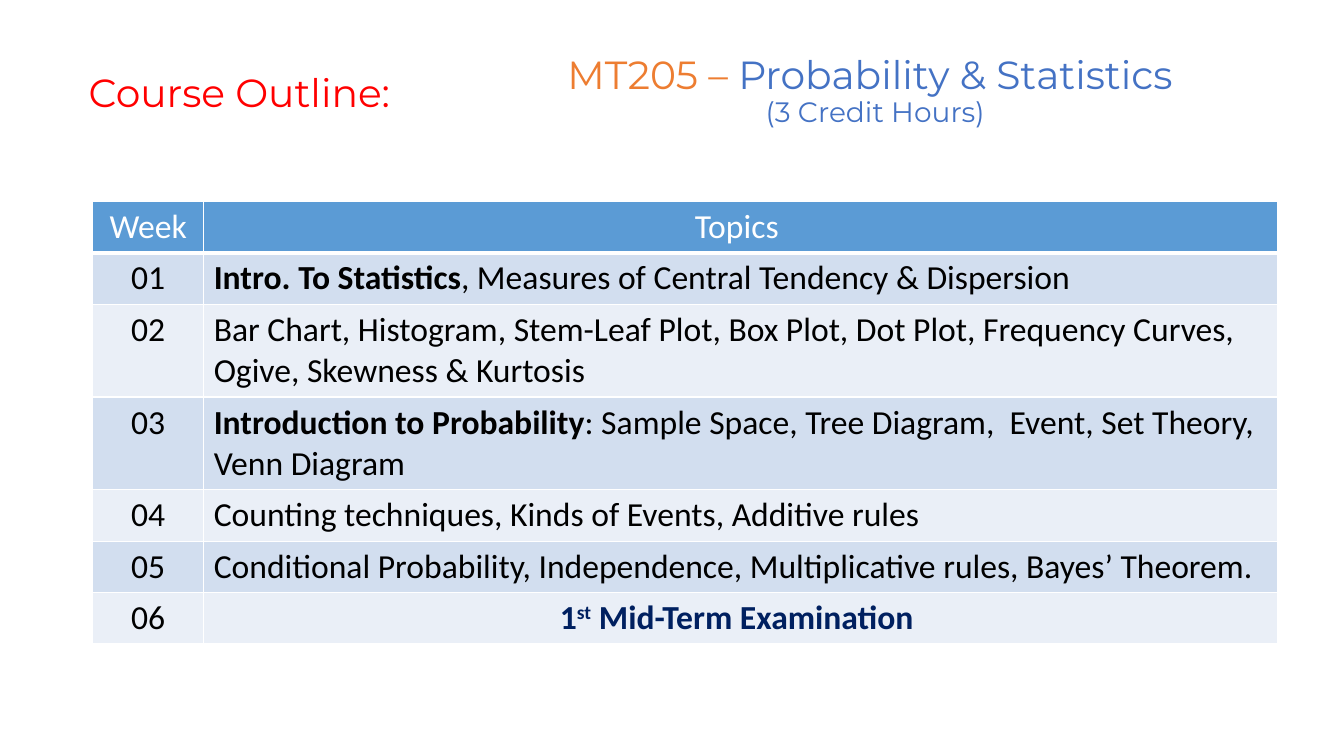
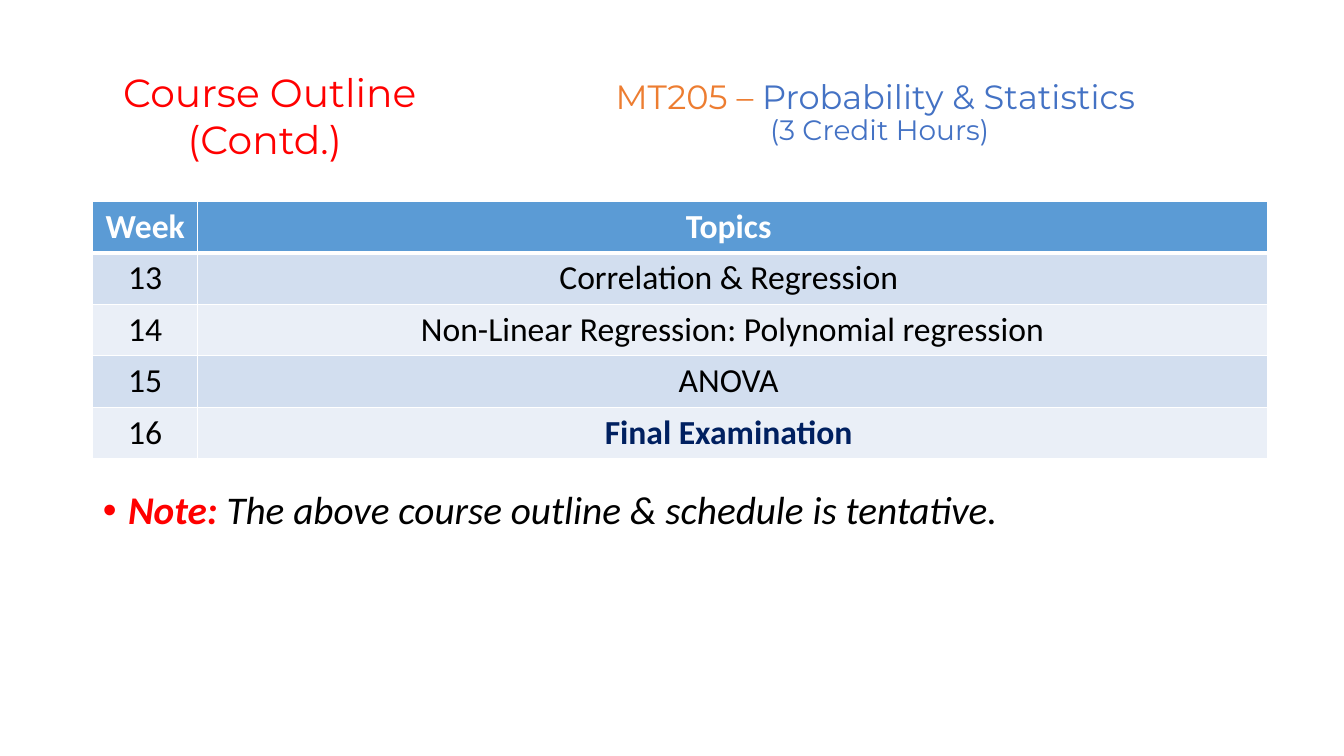
from lxml import etree
from pptx import Presentation
from pptx.dml.color import RGBColor
from pptx.enum.text import MSO_ANCHOR, MSO_AUTO_SIZE, PP_ALIGN
from pptx.oxml.ns import qn
from pptx.util import Inches, Pt

COLORS = {
    "white": "FFFFFF", "black": "000000", "red": "FF0000",
    "orange": "ED7D31", "blue": "4472C4", "navy": "002060",
    "header": "5B9BD5", "band_dark": "D2DEEF", "band_light": "EAEFF7",
}
HEAD_FONT, BODY_FONT = "Montserrat", "Calibri"
LEFT, CENTER = PP_ALIGN.LEFT, PP_ALIGN.CENTER


def add_run(p, text, size, color, font=BODY_FONT, bold=False, italic=False):
    r = p.add_run()
    r.text = text
    r.font.size = Pt(size)
    r.font.name = font
    r.font.bold = bold
    r.font.italic = italic
    r.font.color.rgb = RGBColor.from_string(COLORS[color])
    return r


def style_cell(cell, fill, bottom):
    tcPr = cell._tc.get_or_add_tcPr()
    for tag, width in (("a:lnL", 1), ("a:lnR", 1), ("a:lnT", 1), ("a:lnB", bottom)):
        ln = etree.SubElement(tcPr, qn(tag), w=str(Pt(width)))
        solid = etree.SubElement(ln, qn("a:solidFill"))
        etree.SubElement(solid, qn("a:srgbClr"), val=COLORS["white"])
    cell.fill.solid()
    cell.fill.fore_color.rgb = RGBColor.from_string(COLORS[fill])


SLIDES = [
    {
        "layout": 5, "title_at": (4.71, 0.19, 7.94, 1.45), "title_size": 28,
        "label": "Course Outline:", "label_align": LEFT, "label_height": 0.57,
        "cols": (1.1, 10.65), "heights": (0.51, 0.51, 0.92, 0.92, 0.51, 0.51, 0.51),
        "header_bold": False, "topic_align": LEFT,
        "rows": [
            ("01", "Intro. To Statistics", ", Measures of Central Tendency & Dispersion"),
            ("02", "", "Bar Chart, Histogram, Stem-Leaf Plot, Box Plot, Dot Plot, "
                       "Frequency Curves, Ogive, Skewness & Kurtosis"),
            ("03", "Introduction to Probability",
             ": Sample Space, Tree Diagram,  Event, Set Theory, Venn Diagram"),
            ("04", "", "Counting techniques, Kinds of Events, Additive rules"),
            ("05", "", "Conditional Probability, Independence, Multiplicative rules, "
                       "Bayes’ Theorem."),
        ],
        "exam": ("06", [("1", 0), ("st", 30000), (" Mid-Term Examination ", 0)]),
        "note": None,
    },
    {
        "layout": 1, "title_at": (5.03, 0.4, 7.39, 1.45), "title_size": 24,
        "label": "Course Outline (Contd.) ", "label_align": CENTER, "label_height": 1.04,
        "cols": (1.04, 10.61), "heights": (0.51,) * 5,
        "header_bold": True, "topic_align": CENTER,
        "rows": [
            ("13", "", "Correlation & Regression "),
            ("14", "", "Non-Linear Regression: Polynomial regression"),
            ("15", "", "ANOVA "),
        ],
        "exam": ("16", [("Final Examination ", 0)]),
        "note": ("Note: ", "The above course outline & schedule is tentative."),
    },
]

prs = Presentation()
prs.slide_width, prs.slide_height = Inches(13.33), Inches(7.5)

for data in SLIDES:
    s = prs.slides.add_slide(prs.slide_layouts[data["layout"]])

    title = s.shapes.title
    title.left, title.top, title.width, title.height = map(Inches, data["title_at"])
    tf = title.text_frame
    tf.auto_size = MSO_AUTO_SIZE.NONE
    tf.vertical_anchor = MSO_ANCHOR.MIDDLE
    p = tf.paragraphs[0]
    add_run(p, "MT205 – ", data["title_size"], "orange", HEAD_FONT)
    add_run(p, "Probability & Statistics ", data["title_size"], "blue", HEAD_FONT)
    add_run(tf.add_paragraph(), "(3 Credit Hours)", 20, "blue", HEAD_FONT)
    for p in tf.paragraphs:
        p.alignment = CENTER
        p.line_spacing = 0.9
        p.space_before = Pt(0)

    label = s.shapes.add_textbox(Inches(0.78), Inches(0.63), Inches(3.79),
                                 Inches(data["label_height"]))
    label.text_frame.word_wrap = True
    p = label.text_frame.paragraphs[0]
    p.alignment = data["label_align"]
    add_run(p, data["label"], 28, "red", HEAD_FONT)

    heights = data["heights"]
    table = s.shapes.add_table(len(heights), 2, Inches(0.92), Inches(2),
                               Inches(sum(data["cols"])), Inches(sum(heights))).table
    for col, width in zip(table.columns, data["cols"]):
        col.width = Inches(width)
    for i, height in enumerate(heights):
        table.rows[i].height = Inches(height)
        fill = "header" if i == 0 else "band_dark" if i % 2 else "band_light"
        for cell in table.rows[i].cells:
            style_cell(cell, fill, 1 if i else 3)
            cell.text_frame.paragraphs[0].alignment = CENTER

    for j, heading in enumerate(("Week", "Topics ")):
        p = table.cell(0, j).text_frame.paragraphs[0]
        add_run(p, heading, 24, "white", bold=data["header_bold"])
    for i, (week, lead, topics) in enumerate(data["rows"], 1):
        add_run(table.cell(i, 0).text_frame.paragraphs[0], week, 24, "black")
        p = table.cell(i, 1).text_frame.paragraphs[0]
        p.alignment = data["topic_align"]
        if lead:
            add_run(p, lead, 24, "black", bold=True)
        add_run(p, topics, 24, "black")
    week, exam = data["exam"]
    last = len(heights) - 1
    add_run(table.cell(last, 0).text_frame.paragraphs[0], week, 24, "black")
    for text, baseline in exam:
        r = add_run(table.cell(last, 1).text_frame.paragraphs[0], text, 24, "navy", bold=True)
        if baseline:
            r._r.get_or_add_rPr().set("baseline", str(baseline))

    if data["note"]:
        body = s.placeholders[1]
        body.left, body.top = Inches(0.92), Inches(4.82)
        body.width, body.height = Inches(11.5), Inches(1.94)
        body.text_frame.auto_size = MSO_AUTO_SIZE.NONE
        p = body.text_frame.paragraphs[0]
        p.line_spacing = 0.9
        p.space_before = Pt(0)
        pPr = p._p.get_or_add_pPr()
        pPr.set("marL", str(Inches(0.25)))
        pPr.set("indent", str(Inches(-0.25)))
        etree.SubElement(pPr, qn("a:buFont"), typeface="Arial")
        etree.SubElement(pPr, qn("a:buChar"), char="•")
        lead, text = data["note"]
        add_run(p, lead, 28, "red", bold=True, italic=True)
        add_run(p, text, 28, "black", italic=True)

prs.save("out.pptx")
